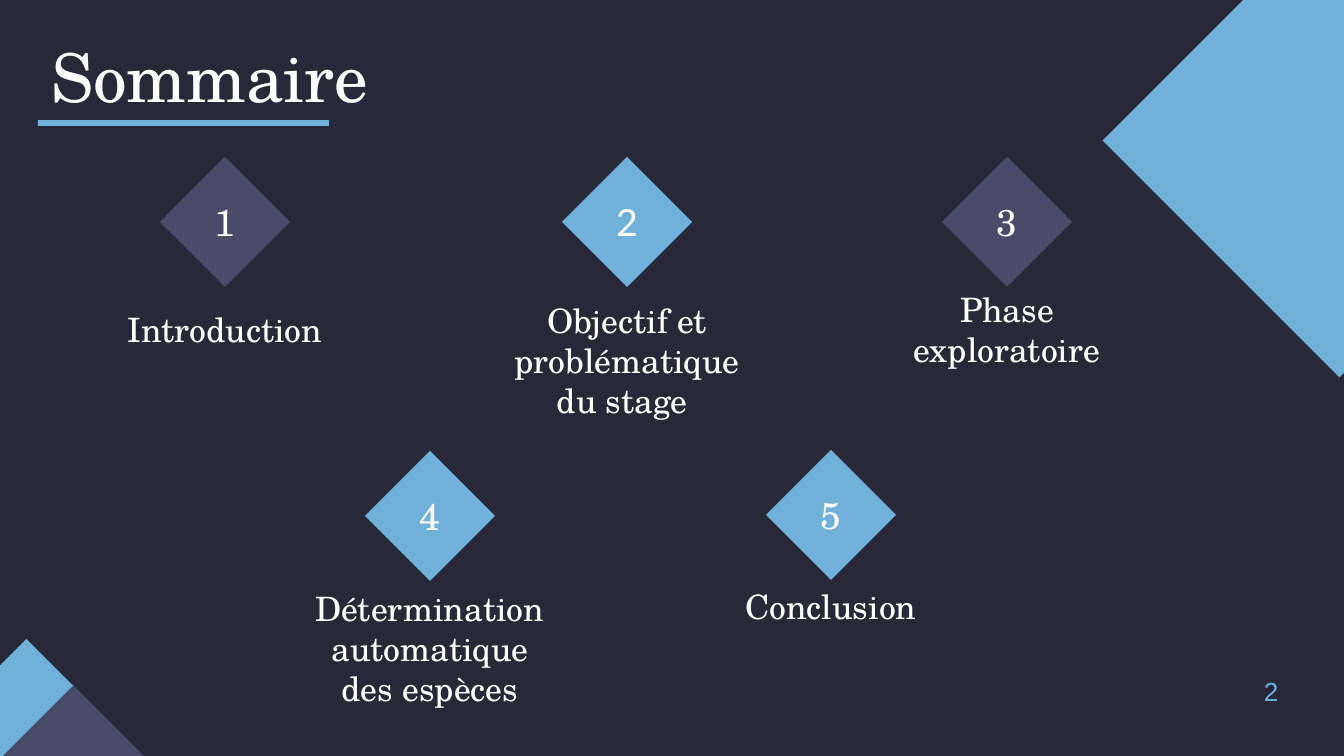
from dataclasses import dataclass

from pptx import Presentation
from pptx.dml.color import RGBColor
from pptx.enum.shapes import MSO_SHAPE
from pptx.enum.text import MSO_ANCHOR, MSO_AUTO_SIZE, PP_ALIGN
from pptx.util import Emu, Pt

PX = 914400 / 134.4


@dataclass(frozen=True)
class Theme:
    night: str = "282938"
    slate: str = "484C68"
    sky: str = "70B1DA"
    white: str = "FFFFFF"
    serif: str = "TeX Gyre Schola"
    sans: str = "Lato"
    plain: str = "Arial"
    title: int = 36
    number: int = 20
    label: int = 18
    page: int = 14


theme = Theme()


def block(left, top, width, height, color, rotation=0):
    """Add a borderless rectangle; lengths are in px."""
    rect = slide.shapes.add_shape(
        MSO_SHAPE.RECTANGLE, *(Emu(round(v * PX)) for v in (left, top, width, height)))
    rect.rotation = rotation
    rect.shadow.inherit = False
    rect.fill.solid()
    rect.fill.fore_color.rgb = RGBColor.from_string(color)
    rect.line.fill.background()


def write(text, left, top, width, height, *, size, holder=None, font=theme.serif,
          color=theme.white, align=PP_ALIGN.CENTER, anchor=MSO_ANCHOR.MIDDLE):
    """Put text in the holder, or in a new text box; lengths are in px."""
    box = holder or slide.shapes.add_textbox(0, 0, 0, 0)
    box.left, box.top, box.width, box.height = (
        Emu(round(v * PX)) for v in (left, top, width, height))
    frame = box.text_frame
    frame.word_wrap = True
    frame.auto_size = MSO_AUTO_SIZE.NONE
    frame.vertical_anchor = anchor
    frame.margin_left = frame.margin_right = Emu(round(13 * PX))
    frame.margin_top = frame.margin_bottom = Emu(round(13 * PX))
    paragraph = frame.paragraphs[0]
    paragraph.alignment = align
    run = paragraph.add_run()
    run.text = text
    run.font.name = font
    run.font.size = Pt(size)
    run.font.color.rgb = RGBColor.from_string(color)


deck = Presentation()
deck.slide_width, deck.slide_height = Emu(round(1344 * PX)), Emu(round(756 * PX))
slide = deck.slides.add_slide(deck.slide_layouts[5])
slide.background.fill.solid()
slide.background.fill.fore_color.rgb = RGBColor.from_string(theme.night)

# Corner decoration
block(-16, 696, 125, 180, theme.slate, rotation=45)
block(-47, 636, 66, 180, theme.sky, rotation=45)
block(1172, -27, 335, 335, theme.sky, rotation=45)

# Heading and its underline
write("Sommaire", 38, 36, 353, 79, size=theme.title,
      holder=slide.shapes.title, align=PP_ALIGN.LEFT)
block(38, 120, 291, 6, theme.sky)

# Sections: centre x, diamond centre y, label centre y, label width, diamond colour, text, font
sections = [
    (225, 222, 329, 224, theme.slate, "Introduction", theme.serif),
    (627, 222, 360, 286, theme.sky, "Objectif et problématique du stage ", theme.sans),
    (1007, 222, 329, 224, theme.slate, "Phase exploratoire", theme.serif),
    (430, 516, 648, 277, theme.sky, "Détermination automatique des espèces", theme.serif),
    (831, 515, 606, 277, theme.sky, "Conclusion", theme.serif),
]
DIAMOND_SIDE, NUMBER_WIDTH, NUMBER_HEIGHT, LABEL_HEIGHT = 92, 88, 76, 80
for number, (x, y, label_y, label_width, color, label, number_font) in enumerate(sections, 1):
    block(x - DIAMOND_SIDE / 2, y - DIAMOND_SIDE / 2, DIAMOND_SIDE, DIAMOND_SIDE,
          color, rotation=45)
    write(str(number), x - NUMBER_WIDTH / 2, y - NUMBER_HEIGHT / 2,
          NUMBER_WIDTH, NUMBER_HEIGHT, size=theme.number, font=number_font)
    write(label, x - label_width / 2, label_y - LABEL_HEIGHT / 2,
          label_width, LABEL_HEIGHT, size=theme.label)

# Page number
write("2", 1251, 669, 44, 44, size=theme.page, font=theme.plain, color=theme.sky,
      align=PP_ALIGN.LEFT)

deck.save("out.pptx")
